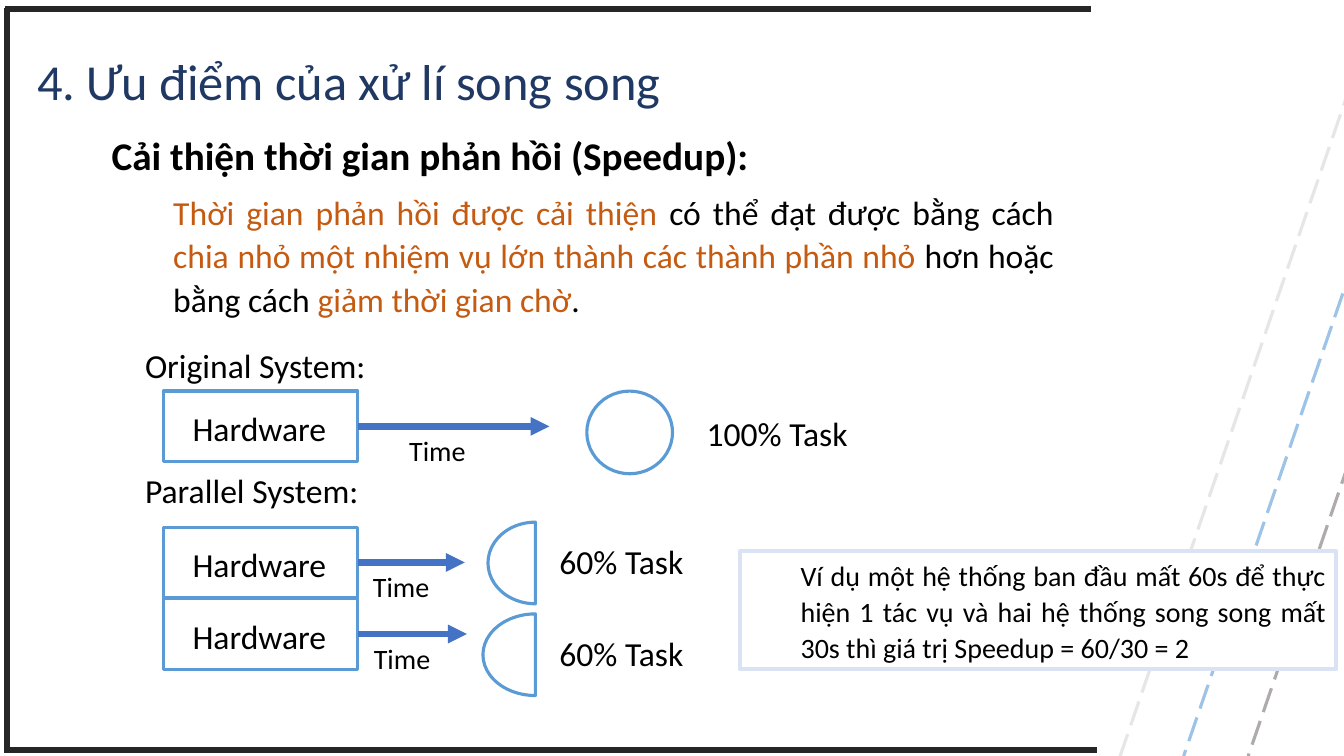
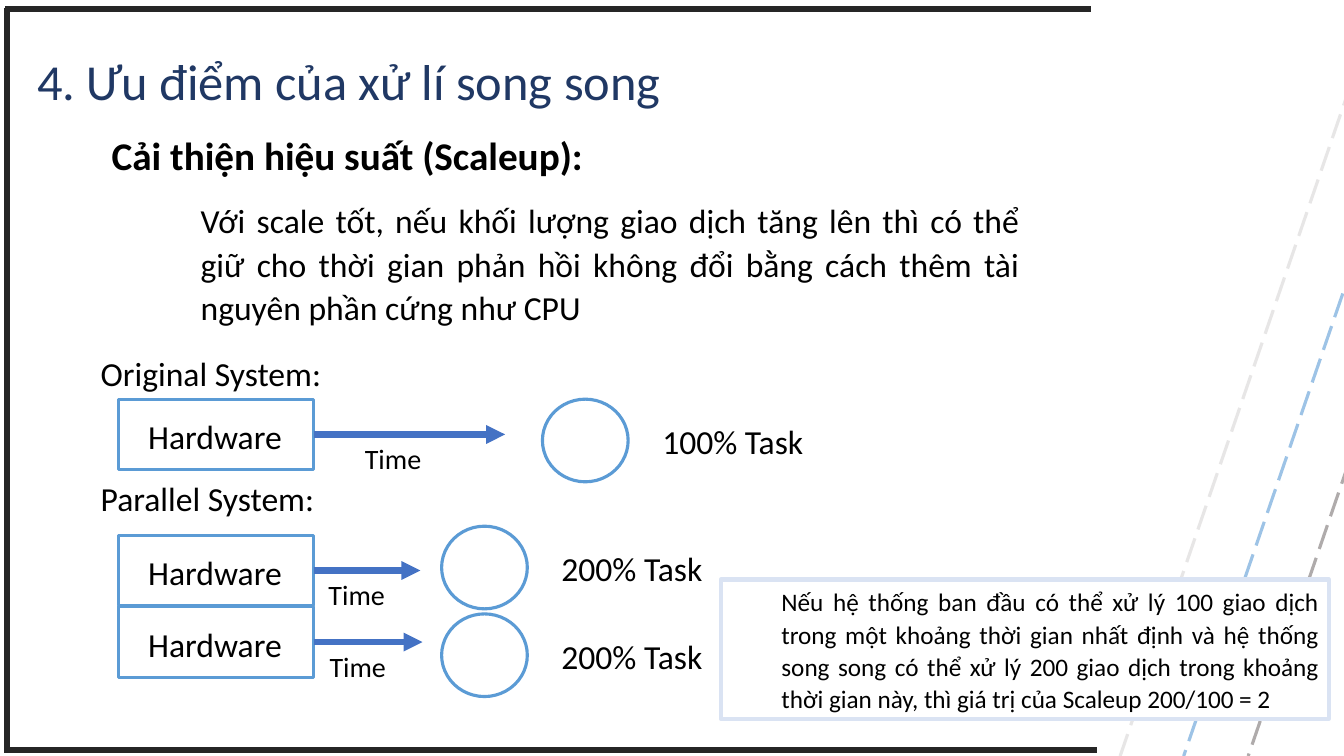
from lxml.etree import SubElement
from pptx import Presentation
from pptx.dml.color import RGBColor
from pptx.enum.dml import MSO_LINE
from pptx.enum.shapes import MSO_CONNECTOR, MSO_SHAPE
from pptx.enum.text import MSO_ANCHOR, MSO_AUTO_SIZE, PP_ALIGN
from pptx.oxml.ns import qn
from pptx.util import Inches, Pt

BLACK, WHITE, NAVY, ORANGE = "000000", "FFFFFF", "203864", "C55A11"
EDGE, ARROW, PALE, FRAME = "5B9BD5", "4472C4", "DAE3F3", "262626"
TITLE = "4. Ưu điểm của xử lí song song"
STRIPES = [
    ((13.74, -0.16), (11.11, 7.5), "E7E6E6"),
    ((14.32, 0), (11.74, 7.5), "9DC3E6"),
    ((14.72, 0.68), (12.38, 7.5), "AFABAB"),
]
BARS = [
    ((0.05, 0.09), (10.82, 0.09)),
    ((0.04, 7.44), (10.88, 7.44)),
    ((0.07, 0.08), (0.07, 7.46)),
]
BODY = {"alignment": PP_ALIGN.JUSTIFY, "line_spacing": 1.07, "space_after": Pt(8)}
PLAIN = {"alignment": PP_ALIGN.LEFT}
BOX_W, BOX_H = 1.93, 0.7
DISC = (0.85, 0.82)


def rgb(code):
    return RGBColor.from_string(code)


def apply(item, values):
    """Set each named value as an attribute of item."""
    for name, value in values.items():
        setattr(item, name, value)


def write(frame, runs, size, form=BODY, bold=False, **layout):
    """Fill a text frame with one paragraph of (text, colour) runs."""
    apply(frame, {"word_wrap": True, "auto_size": MSO_AUTO_SIZE.NONE, **layout})
    para = frame.paragraphs[0]
    apply(para, form)
    for text, color in runs:
        run = para.add_run()
        run.text = text
        apply(run.font, {"name": "Calibri", "size": Pt(size), "bold": bold})
        run.font.color.rgb = rgb(color)


def add_text(slide, box, text, size=24, **style):
    runs = [(text, BLACK)] if isinstance(text, str) else text
    label = slide.shapes.add_textbox(*map(Inches, box))
    write(label.text_frame, runs, size, **style)


def add_line(slide, start, end, color, width, dash=None, head=False):
    points = map(Inches, (*start, *end))
    line = slide.shapes.add_connector(MSO_CONNECTOR.STRAIGHT, *points)
    line.line.color.rgb = rgb(color)
    line.line.width = Pt(width)
    if dash:
        line.line.dash_style = dash
    props = line._element.spPr
    if head:
        SubElement(props.find(qn("a:ln")), qn("a:tailEnd"), type="triangle")
    SubElement(props, qn("a:effectLst"))
    return line


def add_form(slide, kind, box, edge=EDGE, width=2.25, fill=WHITE):
    form = slide.shapes.add_shape(kind, *map(Inches, box))
    form.shadow.inherit = False
    if fill:
        form.fill.solid()
        form.fill.fore_color.rgb = rgb(fill)
    else:
        form.fill.background()
    form.line.color.rgb = rgb(edge)
    form.line.width = Pt(width)
    return form


def add_unit(slide, x, y, reach, shift):
    """Draw a hardware box with its time arrow."""
    box = add_form(slide, MSO_SHAPE.RECTANGLE, (x, y, BOX_W, BOX_H), fill=None)
    write(box.text_frame, [("Hardware", BLACK)], 24, vertical_anchor=MSO_ANCHOR.TOP,
          margin_left=Inches(0.29), margin_top=Inches(0.14))
    right, mid = x + BOX_W, y + BOX_H / 2
    add_text(slide, (right + shift, mid, 1.64, 0.45), "Time", 20)
    arrow = add_line(slide, (right, mid), (right + reach, mid), ARROW, 4.5, head=True)
    arrow.begin_connect(box, 3)


def add_task(slide, kind, box, label, place):
    form = add_form(slide, kind, box)
    if kind == MSO_SHAPE.CHORD:
        # Angles in 60000ths of a degree, over 100000: from 90 to 270 degrees
        form.adjustments[0], form.adjustments[1] = 54, 162
    add_text(slide, (*place, 1.68, 0.51), label)


def add_plan(slide, x, y, tasks):
    """Draw both systems, with the first hardware box at x, y."""
    for text, drop in (("Original System:", -0.54), ("Parallel System:", 0.7)):
        add_text(slide, (x - 0.28, y + drop, 2.63, 0.51), text)
    for drop, reach, shift in ((0, 1.9, 0.41), (1.35, 1.06, 0.05), (2.06, 1.08, 0.06)):
        add_unit(slide, x, y + drop, reach, shift)
    add_task(slide, MSO_SHAPE.OVAL, (x + 4.2, y, *DISC), "100% Task", (x + 5.29, y + 0.14))
    for task in tasks:
        add_task(slide, *task)


def add_note(slide, box, text, size):
    note = add_form(slide, MSO_SHAPE.RECTANGLE, box, PALE, 3)
    write(note.text_frame, [(text, BLACK)], size, margin_left=Inches(0.6),
          vertical_anchor=MSO_ANCHOR.MIDDLE)


def add_page(deck, topic):
    """Add a slide with the shared stripes, frame, title and a topic line."""
    slide = deck.slides.add_slide(deck.slide_layouts[5])
    for start, end, color in STRIPES:
        add_line(slide, start, end, color, 2.25, MSO_LINE.LONG_DASH)
    for start, end in BARS:
        add_line(slide, start, end, FRAME, 4.5)
    title = slide.shapes.title
    spots = map(Inches, (0.27, 0.45, 10.94, 0.71))
    apply(title, dict(zip(("left", "top", "width", "height"), spots)))
    write(title.text_frame, [(TITLE, NAVY)], 36, PLAIN, vertical_anchor=MSO_ANCHOR.TOP)
    add_text(slide, (1.01, 1.25, 7.37, 0.57), topic, 28, form=PLAIN, bold=True)
    return slide


def add_speedup(deck):
    slide = add_page(deck, "Cải thiện thời gian phản hồi (Speedup):")
    add_text(slide, (1.62, 1.83, 8.93, 1.38), [
        ("Thời gian phản hồi được cải thiện ", ORANGE),
        ("có thể đạt được bằng cách ", BLACK),
        ("chia nhỏ một nhiệm vụ lớn thành các thành phần nhỏ ", ORANGE),
        ("hơn hoặc bằng cách ", BLACK),
        ("giảm thời gian chờ", ORANGE),
        (".", BLACK),
    ])
    add_plan(slide, 1.62, 3.88, [
        (MSO_SHAPE.CHORD, (4.84, 5.18, 0.94, 0.81), "60% Task", (5.45, 5.29)),
        (MSO_SHAPE.CHORD, (4.79, 6.09, 1.04, 0.81), "60% Task", (5.45, 6.2)),
    ])
    add_note(slide, (7.34, 5.47, 5.91, 1.17),
             "Ví dụ một hệ thống ban đầu mất 60s để thực hiện 1 tác vụ và hai hệ thống "
             "song song mất 30s thì giá trị Speedup = 60/30 = 2", 20)


def add_scaleup(deck):
    slide = add_page(deck, "Cải thiện hiệu suất (Scaleup):")
    add_text(slide, (1.39, 1.91, 8.82, 1.38),
             "Với scale tốt, nếu khối lượng giao dịch tăng lên thì có thể giữ cho thời gian "
             "phản hồi không đổi bằng cách thêm tài nguyên phần cứng như CPU",
             margin_left=Inches(0.6))
    add_note(slide, (7.15, 5.75, 6.03, 1.38),
             "Nếu hệ thống ban đầu có thể xử lý 100 giao dịch trong một khoảng thời gian "
             "nhất định và hệ thống song song có thể xử lý 200 giao dịch trong khoảng thời "
             "gian này, thì giá trị của Scaleup 200/100 = 2", 18)
    add_plan(slide, 1.18, 3.96, [
        (MSO_SHAPE.OVAL, (4.38, y, *DISC), "200% Task", (5.47, y + 0.14))
        for y in (5.22, 6.09)
    ])


def main():
    deck = Presentation()
    deck.slide_width, deck.slide_height = Inches(13.33), Inches(7.5)
    add_speedup(deck)
    add_scaleup(deck)
    deck.save("out.pptx")


if __name__ == "__main__":
    main()
